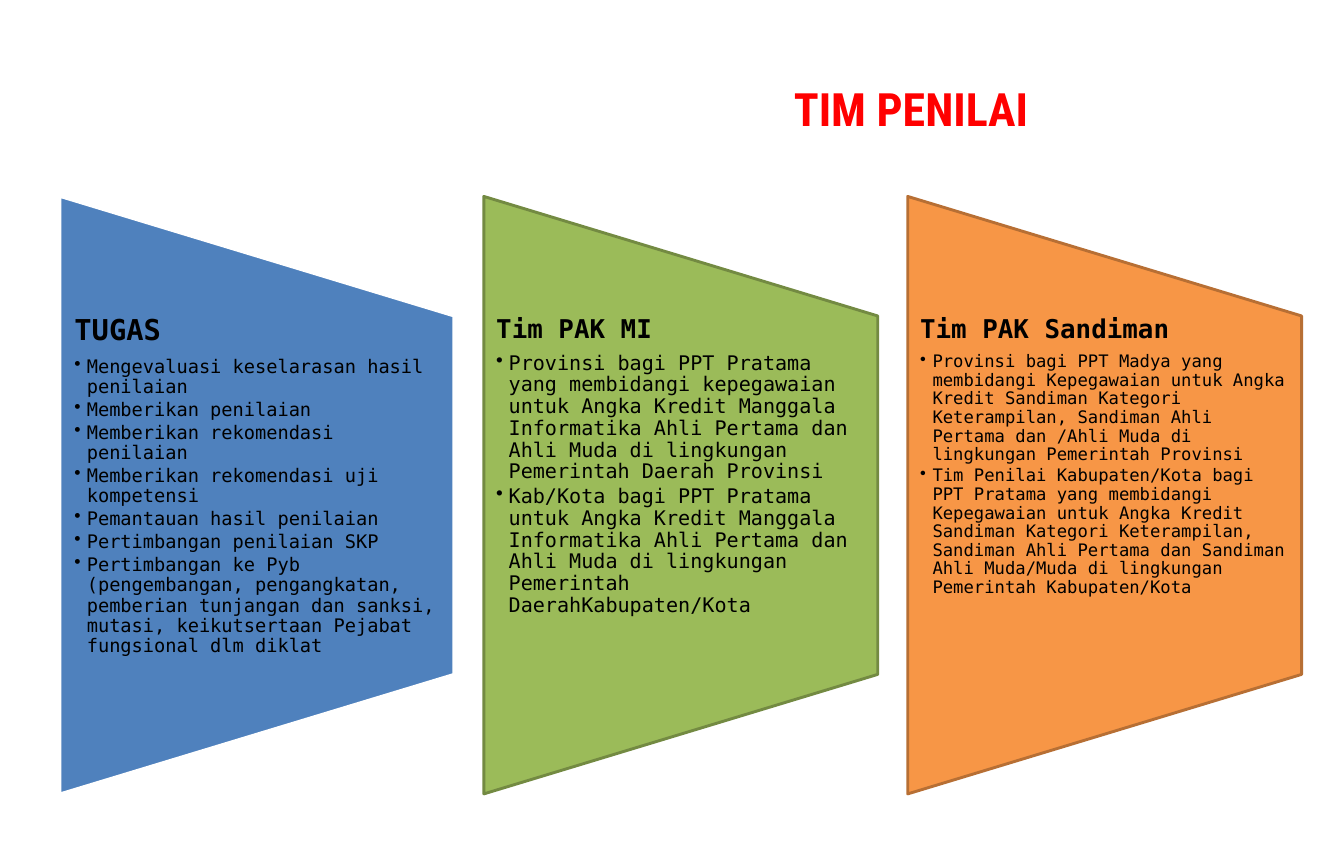
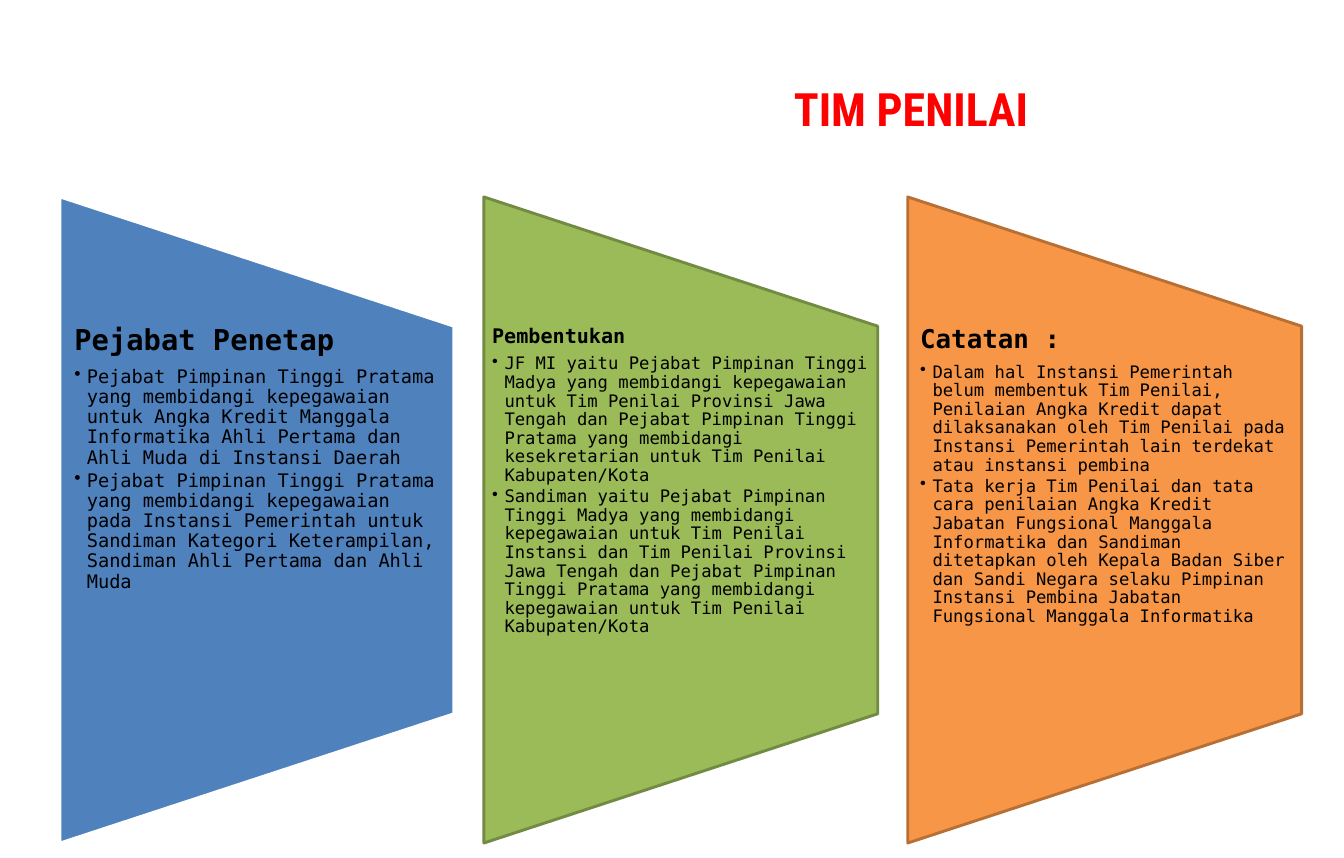
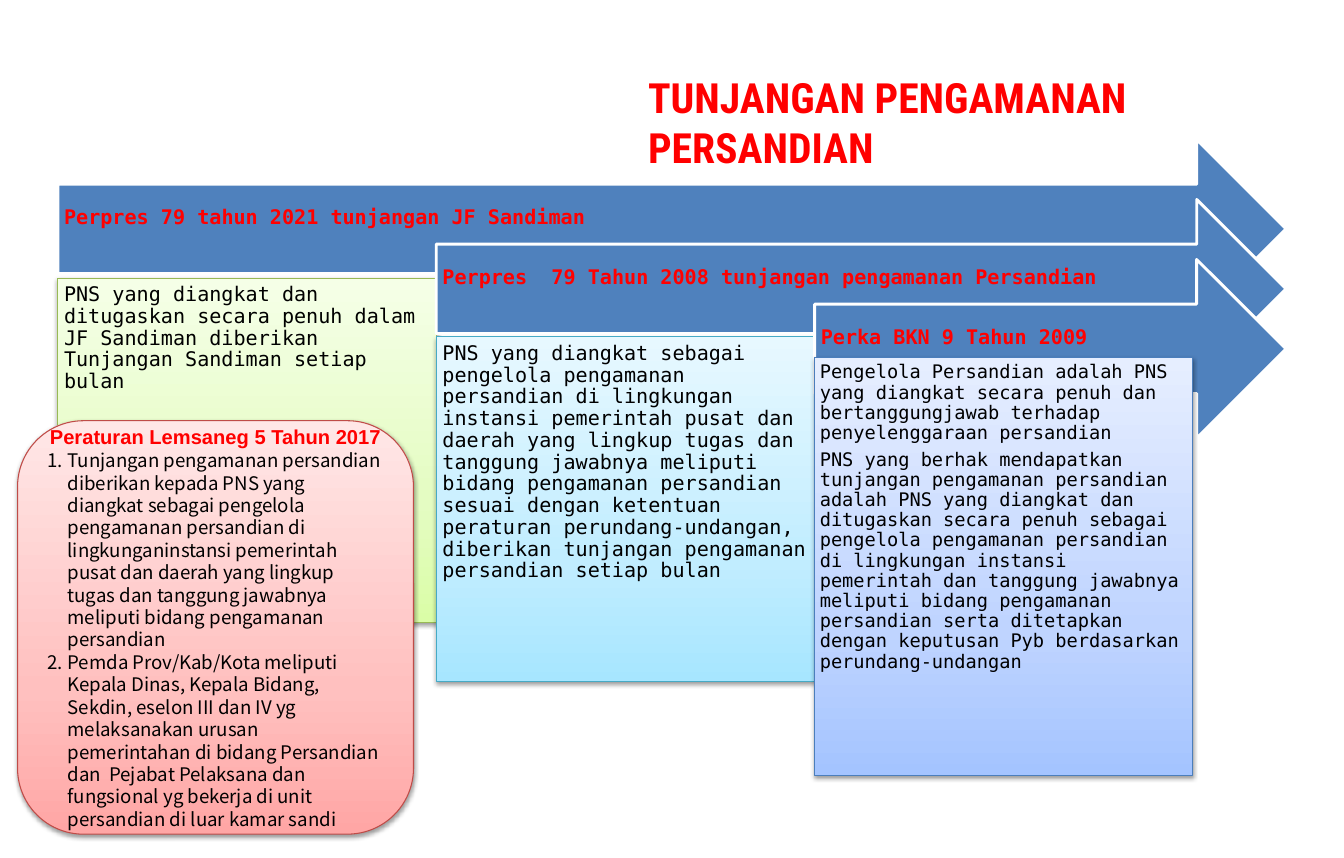
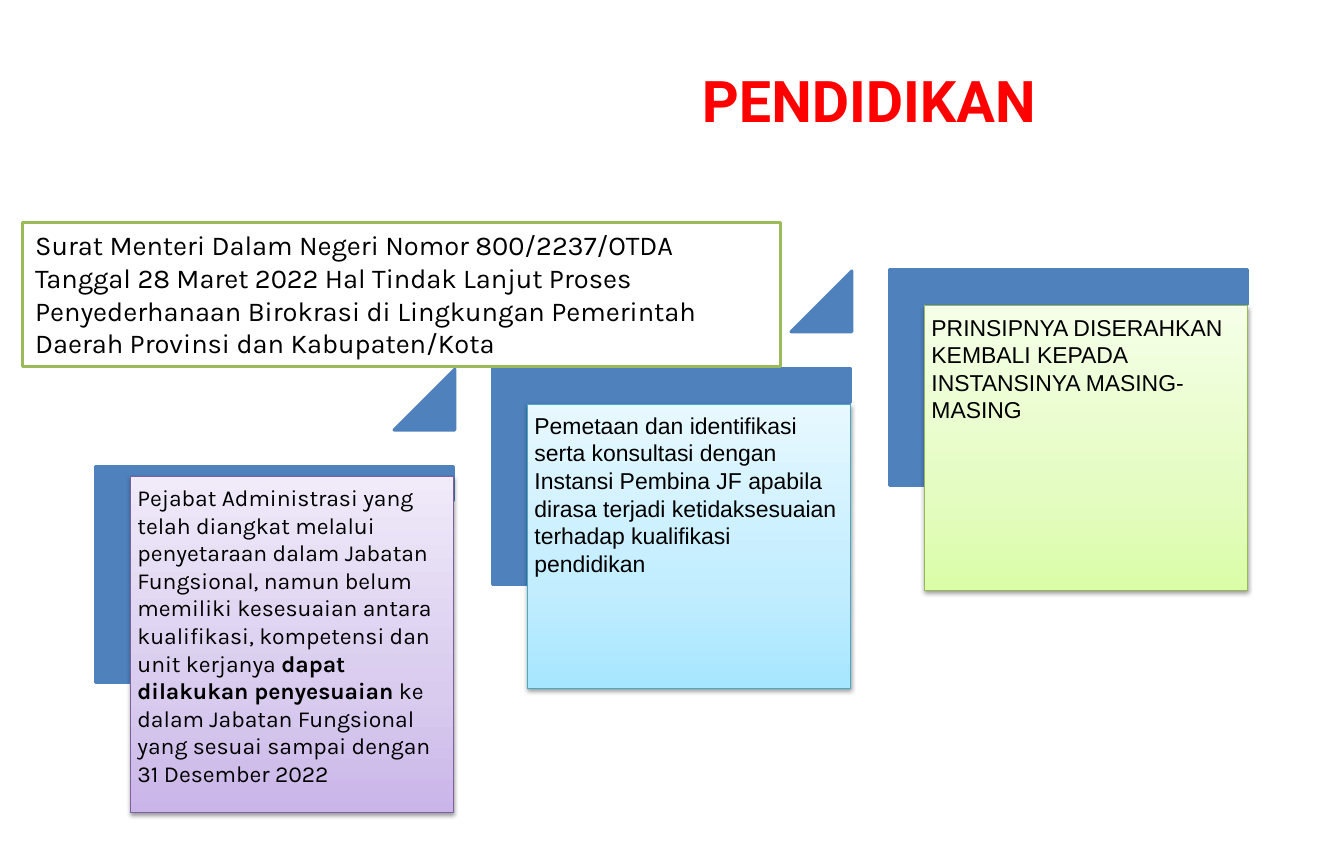
from lxml import etree
from pptx import Presentation
from pptx.dml.color import RGBColor
from pptx.enum.shapes import MSO_SHAPE as Kind
from pptx.enum.text import MSO_ANCHOR as Anchor, MSO_AUTO_SIZE as Fit, PP_ALIGN as Align
from pptx.oxml.ns import qn
from pptx.util import Inches, Pt

MONO = "DejaVu Sans Mono"
RED, BLUE, BLACK, WHITE = "FF0000", "4F81BD", "000000", "FFFFFF"
LIME = (["DAFDA7", "E4FCC2", "F5FFE7"], "98B955")
AQUA = (["A7E6FF", "C1EDFF", "E7F8FF"], "46AAC5")
SKY = (["A4C4FF", "BFD4FF", "E6EEFF"], "4B7EBC")
ROSE = (["FFA6A5", "FFC0BF", "FFE7E7"], "BF4C48")
PLUM = (["C9B5E8", "D8CBEE", "F0EAF9"], "7D60A0")
PANELS = [(BLUE, WHITE), ("9BBB59", "738A42"), ("F79646", "B76F34")]

TEAM = [
    (20, 13, 0.14, "TUGAS", [
        "Mengevaluasi keselarasan hasil penilaian",
        "Memberikan penilaian",
        "Memberikan rekomendasi penilaian",
        "Memberikan rekomendasi uji kompetensi",
        "Pemantauan hasil penilaian",
        "Pertimbangan penilaian SKP",
        "Pertimbangan ke Pyb (pengembangan, pengangkatan, pemberian tunjangan dan "
        "sanksi, mutasi, keikutsertaan Pejabat fungsional dlm diklat"]),
    (18, 14, 0.12, "Tim PAK MI", [
        "Provinsi bagi PPT Pratama yang membidangi kepegawaian untuk Angka Kredit "
        "Manggala Informatika Ahli Pertama dan Ahli Muda di lingkungan Pemerintah "
        "Daerah Provinsi",
        "Kab/Kota bagi PPT Pratama untuk Angka Kredit Manggala Informatika Ahli "
        "Pertama dan Ahli Muda di lingkungan Pemerintah DaerahKabupaten/Kota"]),
    (18, 12, 0.12, "Tim PAK Sandiman", [
        "Provinsi bagi PPT Madya yang membidangi Kepegawaian untuk Angka Kredit "
        "Sandiman Kategori Keterampilan, Sandiman Ahli Pertama dan /Ahli Muda di "
        "lingkungan Pemerintah Provinsi",
        "Tim Penilai Kabupaten/Kota bagi PPT Pratama yang membidangi Kepegawaian "
        "untuk Angka Kredit Sandiman Kategori Keterampilan, Sandiman Ahli Pertama dan "
        "Sandiman Ahli Muda/Muda di lingkungan Pemerintah Kabupaten/Kota"]),
]
RULES = [
    (20, 13, 0.14, "Pejabat Penetap", [
        "Pejabat Pimpinan Tinggi Pratama yang membidangi kepegawaian untuk Angka "
        "Kredit Manggala Informatika Ahli Pertama dan Ahli Muda di Instansi Daerah",
        "Pejabat Pimpinan Tinggi Pratama yang membidangi kepegawaian pada Instansi "
        "Pemerintah untuk Sandiman Kategori Keterampilan, Sandiman Ahli Pertama dan "
        "Ahli Muda"]),
    (14, 12, 0.08, "Pembentukan", [
        "JF MI yaitu Pejabat Pimpinan Tinggi Madya yang membidangi kepegawaian untuk "
        "Tim Penilai Provinsi Jawa Tengah dan Pejabat Pimpinan Tinggi Pratama yang "
        "membidangi kesekretarian untuk Tim Penilai Kabupaten/Kota",
        "Sandiman yaitu Pejabat Pimpinan Tinggi Madya yang membidangi kepegawaian "
        "untuk Tim Penilai Instansi dan Tim Penilai Provinsi Jawa Tengah dan Pejabat "
        "Pimpinan Tinggi Pratama yang membidangi kepegawaian untuk Tim Penilai "
        "Kabupaten/Kota"]),
    (18, 12, 0.12, "Catatan :", [
        "Dalam hal Instansi Pemerintah belum membentuk Tim Penilai, Penilaian Angka "
        "Kredit dapat dilaksanakan oleh Tim Penilai pada Instansi Pemerintah lain "
        "terdekat atau instansi pembina",
        "Tata kerja Tim Penilai dan tata cara penilaian Angka Kredit Jabatan "
        "Fungsional Manggala Informatika dan Sandiman ditetapkan oleh Kepala Badan "
        "Siber dan Sandi Negara selaku Pimpinan Instansi Pembina Jabatan Fungsional "
        "Manggala Informatika"]),
]
LAWS = [
    ("Perpres 79 tahun 2021 tunjangan JF Sandiman", LIME, 2.69, 3.33, 14, 0.06, [
        "PNS yang diangkat dan ditugaskan secara penuh dalam JF Sandiman diberikan "
        "Tunjangan Sandiman setiap bulan"]),
    ("Perpres  79 Tahun 2008 tunjangan pengamanan Persandian", AQUA, 3.26, 3.33, 14, 0.06, [
        "PNS yang diangkat sebagai pengelola pengamanan persandian di lingkungan "
        "instansi pemerintah pusat dan daerah yang lingkup tugas dan tanggung "
        "jawabnya meliputi bidang pengamanan persandian sesuai dengan ketentuan "
        "peraturan perundang-undangan, diberikan tunjangan pengamanan persandian "
        "setiap bulan"]),
    ("Perka BKN 9 Tahun 2009", SKY, 3.46, 4.04, 13, 0.05, [
        "Pengelola Persandian adalah PNS yang diangkat secara penuh dan "
        "bertanggungjawab terhadap penyelenggaraan persandian",
        "PNS yang berhak mendapatkan tunjangan pengamanan persandian adalah PNS yang "
        "diangkat dan ditugaskan secara penuh sebagai pengelola pengamanan persandian "
        "di lingkungan instansi pemerintah dan tanggung jawabnya meliputi bidang "
        "pengamanan persandian serta ditetapkan dengan keputusan Pyb berdasarkan "
        "perundang-undangan"]),
]
DUTIES = [
    "Tunjangan pengamanan persandian diberikan kepada PNS yang diangkat sebagai "
    "pengelola pengamanan persandian di lingkunganinstansi pemerintah pusat dan "
    "daerah yang lingkup tugas dan tanggung jawabnya meliputi bidang pengamanan "
    "persandian",
    "Pemda Prov/Kab/Kota meliputi Kepala Dinas, Kepala Bidang, Sekdin, eselon III "
    "dan IV yg melaksanakan urusan pemerintahan di bidang Persandian dan  Pejabat "
    "Pelaksana dan fungsional yg bekerja di unit persandian di luar kamar sandi",
]
STEPS = [
    (PLUM, 4.61, 3.25, "Karla",
     "Pejabat Administrasi yang telah diangkat melalui penyetaraan dalam Jabatan "
     "Fungsional, namun belum memiliki kesesuaian antara kualifikasi, kompetensi dan "
     "unit kerjanya *dapat dilakukan penyesuaian* ke dalam Jabatan Fungsional yang "
     "sesuai sampai dengan 31 Desember 2022"),
    (AQUA, 3.91, 2.75, "Arial",
     "Pemetaan dan identifikasi serta konsultasi dengan Instansi Pembina JF apabila "
     "dirasa terjadi ketidaksesuaian terhadap kualifikasi pendidikan"),
    (LIME, 2.96, 2.75, "Arial",
     "PRINSIPNYA DISERAHKAN KEMBALI KEPADA INSTANSINYA MASING-MASING"),
]
LETTER = ("Surat Menteri Dalam Negeri Nomor 800/2237/OTDA Tanggal 28 Maret 2022 Hal "
          "Tindak Lanjut Proses Penyederhanaan Birokrasi di Lingkungan Pemerintah "
          "Daerah Provinsi dan Kabupaten/Kota")


def tint(part, code):
    part.rgb = RGBColor.from_string(code)


def node(up, tag, **attrs):
    item = etree.SubElement(up, qn("a:" + tag))
    for key, val in attrs.items():
        item.set(key, str(val))
    return item


def box(slide, x, y, w, h):
    return slide.shapes.add_textbox(Inches(x), Inches(y), Inches(w), Inches(h))


def shape(slide, kind, x, y, w, h, fill, line, width=2, turn=0, adj=()):
    item = slide.shapes.add_shape(kind, Inches(x), Inches(y), Inches(w), Inches(h))
    item.shadow.inherit = False
    item.rotation = turn
    for i, val in enumerate(adj):
        item.adjustments[i] = val
    item.fill.solid()
    tint(item.fill.fore_color, fill)
    tint(item.line.color, line)
    item.line.width = Pt(width)
    return item


def card(slide, kind, x, y, w, h, theme):
    stops, line = theme
    item = shape(slide, kind, x, y, w, h, stops[0], line, 0.75)
    props = item._element.spPr
    grad = etree.Element(qn("a:gradFill"), rotWithShape="1")
    row = node(grad, "gsLst")
    for pos, code in zip((0, 35, 100), stops):
        node(node(row, "gs", pos=pos * 1000), "srgbClr", val=code)
    node(grad, "lin", ang=270 * 60000, scaled=1)
    props.replace(props.find(qn("a:solidFill")), grad)
    cast = node(props.find(qn("a:effectLst")), "outerShdw", blurRad=Pt(3.1), dist=Pt(1.6),
                dir=90 * 60000, rotWithShape=0)
    node(node(cast, "srgbClr", val=BLACK), "alpha", val=38000)
    return item


def frame(item, ins=(0.1, 0.05, 0.1, 0.05), anchor=Anchor.TOP, grow=False):
    body = item.text_frame
    body.word_wrap = True
    body.vertical_anchor = anchor
    body.auto_size = Fit.SHAPE_TO_FIT_TEXT if grow else Fit.NONE
    sides = [Inches(val) for val in ins]
    body.margin_left, body.margin_top, body.margin_right, body.margin_bottom = sides
    return body


def write(body, text, size=14, font=MONO, color=BLACK, bold=False, align=Align.LEFT,
          lead=None, after=0, mark=None, dent=0, level=0):
    para = body.paragraphs[0]
    if para.runs:
        para = body.add_paragraph()
    para.level = level
    para.alignment = align
    if mark:
        props = para._p.get_or_add_pPr()
        props.set("marL", str(Inches(dent)))
        props.set("indent", str(-Inches(dent)))
        if mark == "1.":
            node(props, "buAutoNum", type="arabicPeriod")
        else:
            node(props, "buChar", char=mark)
    if lead:
        para.line_spacing = lead
    para.space_after = Pt(round(size * after, 2))
    for i, part in enumerate(text.split("*")):
        run = para.add_run()
        run.text = part
        run.font.size = Pt(size)
        run.font.name = font
        run.font.bold = bold or i % 2 == 1
        tint(run.font.color, color)


def title(slide, text, x, y, w, h, size, font="Roboto Condensed", ins=(0.1, 0.05, 0.1, 0.05)):
    write(frame(box(slide, x, y, w, h), ins, grow=True), text,
          size=size, font=font, color=RED, bold=True)


def panels(slide, mid, span, cols):
    title(slide, "TIM PENILAI", 7.58, 0.73, 3.92, 0.64, 32)
    wide, tall = 3.81, span * 0.6
    for i, ((fill, line), (big, small, pad, head, items)) in enumerate(zip(PANELS, cols)):
        x = 0.58 + 4.1 * i
        shape(slide, Kind.FLOWCHART_MANUAL_OPERATION, x + (wide - span) / 2,
              mid - wide / 2, span, wide, fill, line, turn=270)
        body = frame(box(slide, x, mid - tall / 2, wide, tall), (pad, 0, pad, 0))
        write(body, head, size=big, bold=True, lead=0.9, after=0.35)
        for item in items:
            write(body, item, size=small, lead=0.9, after=0.15,
                  mark="•", dent=0.12, level=1)


def grants(slide):
    title(slide, "TUNJANGAN PENGAMANAN PERSANDIAN", 6.17, 0.65, 6.33, 0.59, 29)
    wide = 3.66
    for i, (head, theme, top, tall, size, pad, items) in enumerate(LAWS):
        x = 0.56 + wide * i
        arrow = shape(slide, Kind.RIGHT_ARROW, x, 1.35 + 0.58 * i, 12.44 - x, 1.73,
                      BLUE, WHITE, adj=(0.5, 0.5))
        write(frame(arrow, (0.06, 0.06, 0.28, 0.27), Anchor.MIDDLE), head,
              color=RED, bold=True, lead=0.9)
        body = frame(card(slide, Kind.RECTANGLE, x, top, wide, tall, theme), (pad,) * 4)
        for item in items:
            write(body, item, size=size, lead=0.9, after=0.35)
    body = frame(card(slide, Kind.ROUNDED_RECTANGLE, 0.17, 4.07, 3.83, 4, ROSE),
                 anchor=Anchor.MIDDLE)
    write(body, "Peraturan Lemsaneg 5 Tahun 2017", font="Arial", color=RED,
          bold=True, align=Align.CENTER)
    for item in DUTIES:
        write(body, item, size=13, font="Noto Sans CJK KR", mark="1.", dent=0.2)


def stairs(slide):
    pad = (0.12, 0.06, 0.12, 0.06)
    title(slide, "PENDIDIKAN", 6.67, 0.57, 7.88, 0.79, 40, "Roboto", pad)
    for i, (theme, top, tall, font, text) in enumerate(STEPS):
        right, rise = 3.84 * i, 0.95 * i
        shape(slide, Kind.CORNER, 1.61 + right, 3.82 - rise, 2.09, 3.47, BLUE, BLUE,
              turn=90, adj=(0.161, 0.161))
        note = card(slide, Kind.RECTANGLE, 1.26 + right, top, 3.13, tall, theme)
        write(frame(note, (0.07,) * 4), text, size=16, font=font)
        if i < len(STEPS) - 1:
            shape(slide, Kind.ISOSCELES_TRIANGLE, 3.81 + right, 3.57 - rise, 0.59, 0.59,
                  BLUE, BLUE, adj=(1,))
    letter = shape(slide, Kind.RECTANGLE, 0.22, 2.15, 7.33, 1.4, WHITE, "9BBB59")
    write(frame(letter, pad, grow=True), LETTER, size=19, font="Karla")


def main():
    deck = Presentation()
    deck.slide_width, deck.slide_height = Inches(13), Inches(8.3)
    first, second, third, fourth = [deck.slides.add_slide(deck.slide_layouts[6])
                                    for _ in range(4)]
    panels(first, 4.79, 5.78, TEAM)
    panels(second, 5.03, 6.25, RULES)
    grants(third)
    stairs(fourth)
    deck.save("out.pptx")


if __name__ == "__main__":
    main()
